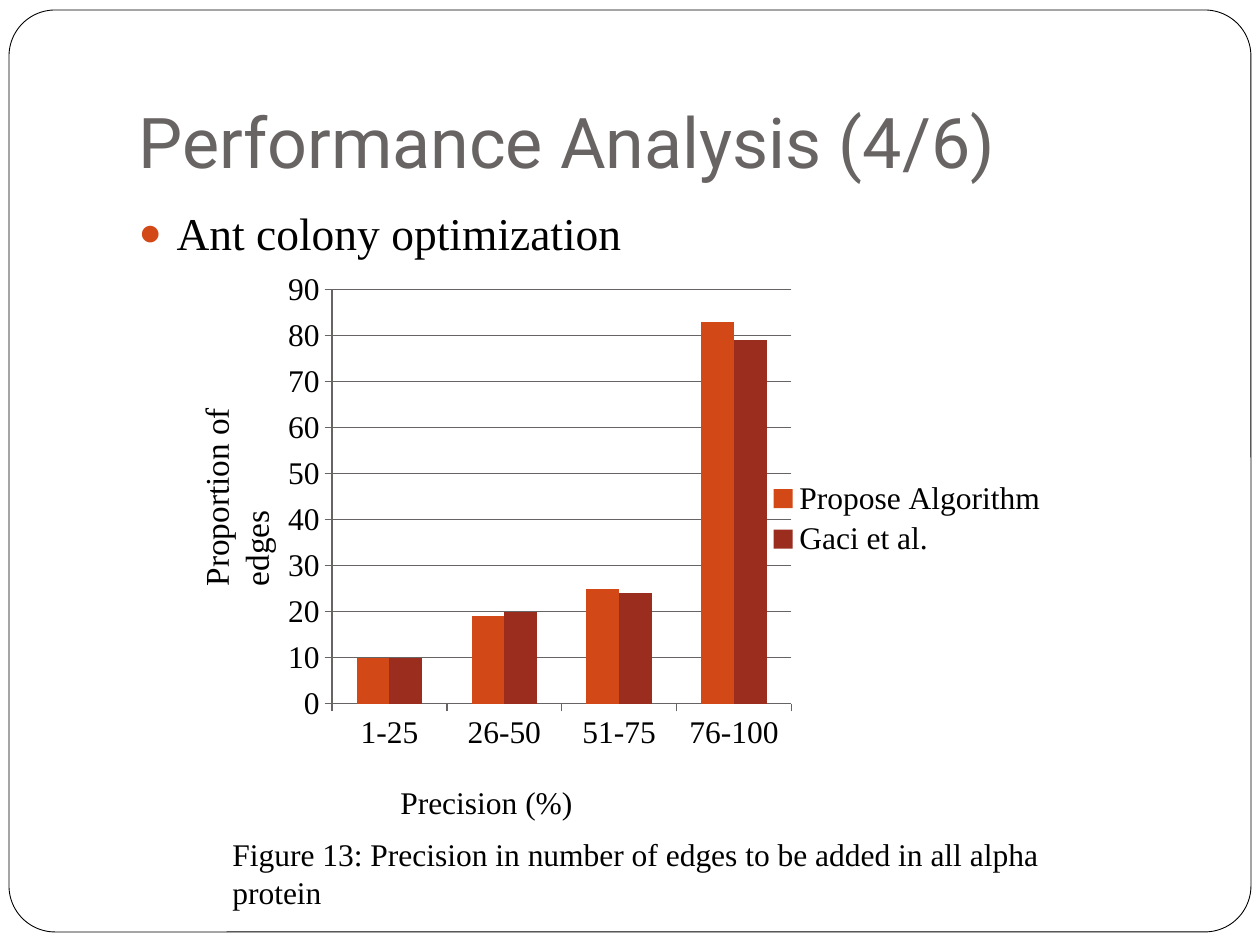
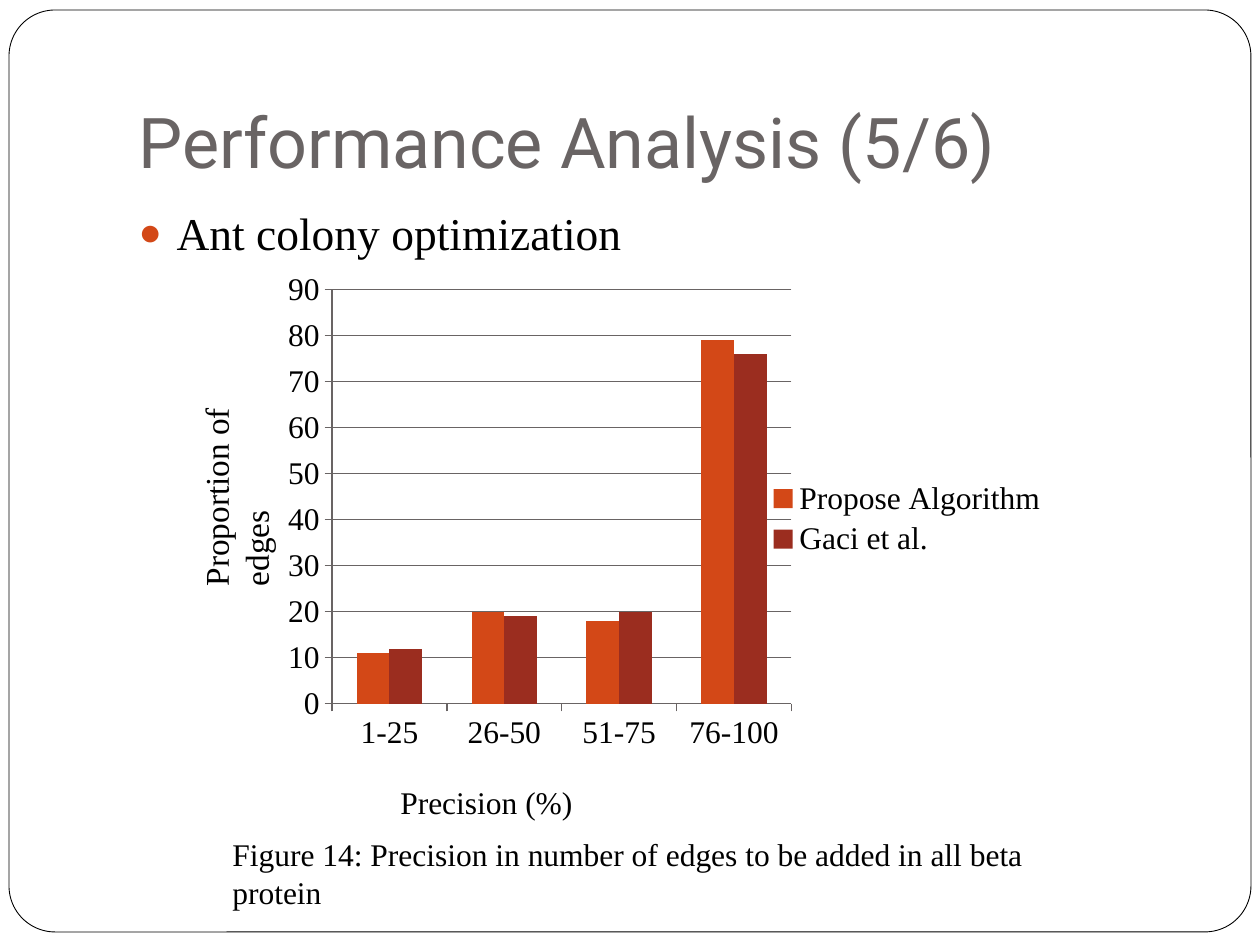
from lxml import etree
from pptx import Presentation
from pptx.chart.data import CategoryChartData
from pptx.dml.color import RGBColor
from pptx.enum.chart import XL_CHART_TYPE, XL_LEGEND_POSITION, XL_TICK_MARK
from pptx.enum.shapes import MSO_SHAPE
from pptx.enum.text import MSO_ANCHOR, MSO_AUTO_SIZE, PP_ALIGN
from pptx.oxml import parse_xml
from pptx.oxml.ns import nsdecls, qn
from pptx.util import Pt

CLUSTERED = XL_CHART_TYPE.COLUMN_CLUSTERED
LEGEND_RIGHT = XL_LEGEND_POSITION.RIGHT
TICK_OUTSIDE = XL_TICK_MARK.OUTSIDE
ROUNDED = MSO_SHAPE.ROUNDED_RECTANGLE
BOTTOM, TOP = MSO_ANCHOR.BOTTOM, MSO_ANCHOR.TOP
GROW, FIXED = MSO_AUTO_SIZE.SHAPE_TO_FIT_TEXT, MSO_AUTO_SIZE.NONE
LEFT = PP_ALIGN.LEFT

PX = 914400 // 126
SERIF = "Times New Roman"
BLACK, WHITE, GREY = "000000", "FFFFFF", "696464"
ORANGE, BRICK = "D34817", "9B2D1F"

BANDS = ["1-25", "26-50", "51-75", "76-100"]
METHODS = [("Propose Algorithm", ORANGE), ("Gaci et al.", BRICK)]
PAGES = [
    ("Performance Analysis (4/6)",
     "Figure 13: Precision in number of edges to be added in all alpha protein",
     [(10, 19, 25, 83), (10, 20, 24, 79)]),
    ("Performance Analysis (5/6)",
     "Figure 14: Precision in number of edges to be added in all beta protein",
     [(11, 20, 18, 79), (12, 19, 20, 76)]),
]


def color(hex_code):
    return RGBColor.from_string(hex_code)


def write(shape, text, box, size=18, font=SERIF, ink=BLACK, anchor=TOP,
          fit=GROW, turn=0):
    """Place a text shape, fill it with one paragraph and return that paragraph."""
    shape.left, shape.top, shape.width, shape.height = [n * PX for n in box]
    shape.rotation = turn
    frame = shape.text_frame
    frame.text = text
    frame.word_wrap = True
    frame.auto_size = fit
    frame.vertical_anchor = anchor
    paragraph = frame.paragraphs[0]
    paragraph.alignment = LEFT
    style = paragraph.runs[0].font
    style.name, style.size = font, Pt(size)
    style.color.rgb = color(ink)
    return paragraph


prs = Presentation()
prs.slide_width, prs.slide_height = 1260 * PX, 945 * PX
slides = [prs.slides.add_slide(prs.slide_layouts[1]) for _ in PAGES]

# The rounded page frame lives on the master, behind everything else
page_frame = slides[0].shapes.add_shape(ROUNDED, 9 * PX, 10 * PX, 1242 * PX, 922 * PX)
page_frame.adjustments[0] = 0.05
page_frame.shadow.inherit = False
page_frame.fill.solid()
page_frame.fill.fore_color.rgb = color(WHITE)
page_frame.line.color.rgb = color(BLACK)
page_frame.line.width = Pt(0.5)
page_frame._element.nvSpPr.cNvPr.set("id", "20")
prs.slide_master.shapes._spTree.insert(2, page_frame._element)

for slide, (heading, caption, results) in zip(slides, PAGES):
    title, body = slide.placeholders
    write(title, heading, (126, 38, 1071, 158), size=40, font="Roboto", ink=GREY,
          anchor=BOTTOM, fit=FIXED)
    title.text_frame.margin_bottom = 13 * PX

    topic = write(body, "Ant colony optimization", (126, 199, 1071, 630), size=26,
                  fit=FIXED)
    topic.space_before = Pt(5.8)
    bullet = topic._p.get_or_add_pPr()
    bullet.set("marL", str(38 * PX))
    bullet.set("indent", str(-38 * PX))
    bullet_color = etree.SubElement(bullet, qn("a:buClr"))
    etree.SubElement(bullet_color, qn("a:srgbClr"), val=ORANGE)
    etree.SubElement(bullet, qn("a:buSzPct"), val="85000")
    etree.SubElement(bullet, qn("a:buChar"), char="●")

    data = CategoryChartData()
    data.categories = BANDS
    for (method, _), shares in zip(METHODS, results):
        data.add_series(method, shares)
    chart = slide.shapes.add_chart(CLUSTERED, 252 * PX, 262 * PX, 809 * PX, 514 * PX,
                                   data).chart
    chart.has_title = False
    chart.font.name, chart.font.size = SERIF, Pt(18)
    chart.font.color.rgb = color(BLACK)
    chart.has_legend = True
    chart.legend.position = LEGEND_RIGHT
    chart.legend.include_in_layout = False

    plot = chart.plots[0]
    plot.vary_by_categories = False
    plot.gap_width, plot.overlap = 150, 0
    for bars, (_, fill) in zip(plot.series, METHODS):
        bars.format.fill.solid()
        bars.format.fill.fore_color.rgb = color(fill)

    shares_axis = chart.value_axis
    shares_axis.minimum_scale, shares_axis.maximum_scale = 0, 90
    shares_axis.major_unit = 10
    shares_axis.has_major_gridlines = True
    for axis in (shares_axis, chart.category_axis):
        axis.major_tick_mark = TICK_OUTSIDE
    for ruled in (shares_axis, chart.category_axis, shares_axis.major_gridlines):
        ruled.format.line.color.rgb = color(GREY)
        ruled.format.line.width = Pt(0.75)

    edges = "".join(f'<c:{key} val="{value}"/>' for key, value in [
        ("layoutTarget", "inner"), ("xMode", "edge"), ("yMode", "edge"),
        ("x", 0.099), ("y", 0.054), ("w", 0.568), ("h", 0.806)])
    plot_area = chart._chartSpace.chart.plotArea
    for automatic in plot_area.findall(qn("c:layout")):
        plot_area.remove(automatic)
    plot_area.insert(0, parse_xml(
        f'<c:layout {nsdecls("c")}><c:manualLayout>{edges}</c:manualLayout></c:layout>'))

    for label, box, size, turn in [
        ("Precision (%)", (388, 777, 252, 50), 18, 0),
        ("Proportion of edges", (74, 430, 284, 53), 19, 270),
        (caption, (220, 829, 861, 50), 18, 0),
    ]:
        write(slide.shapes.add_textbox(0, 0, 0, 0), label, box, size=size, turn=turn)

prs.save("out.pptx")
